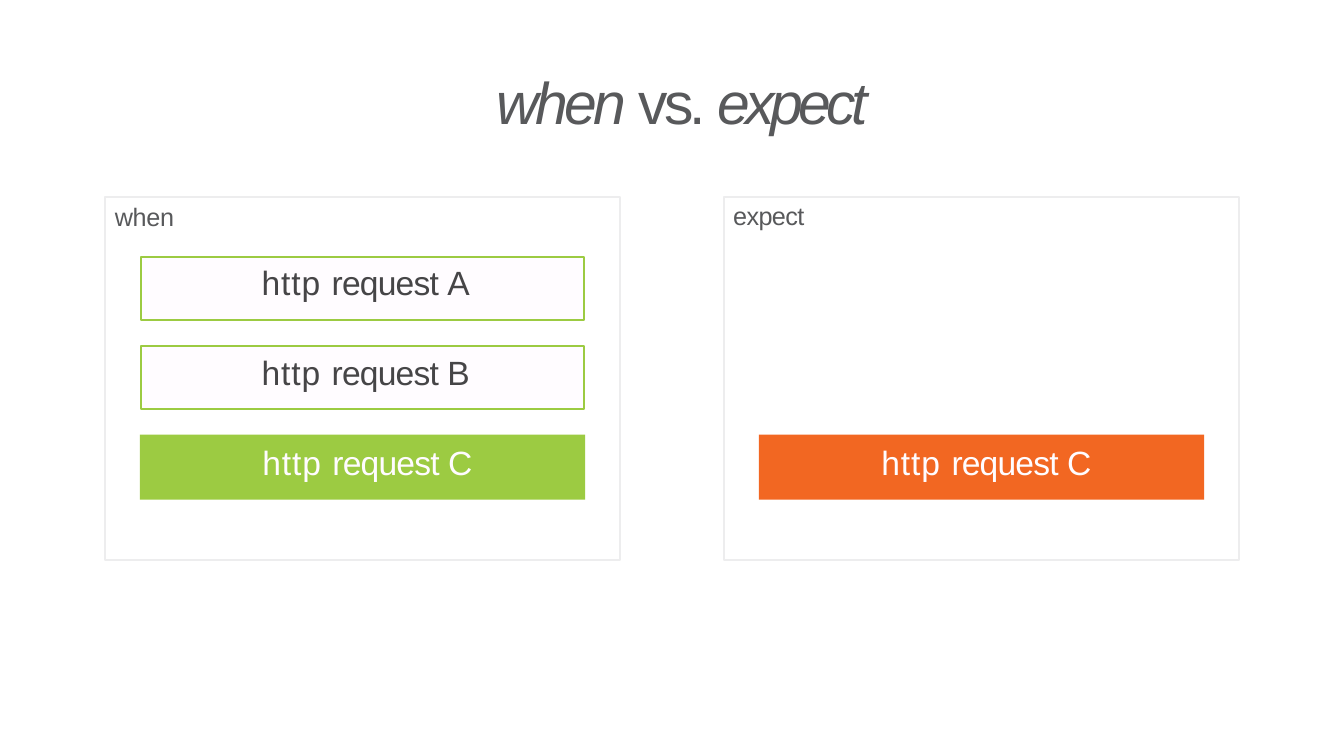
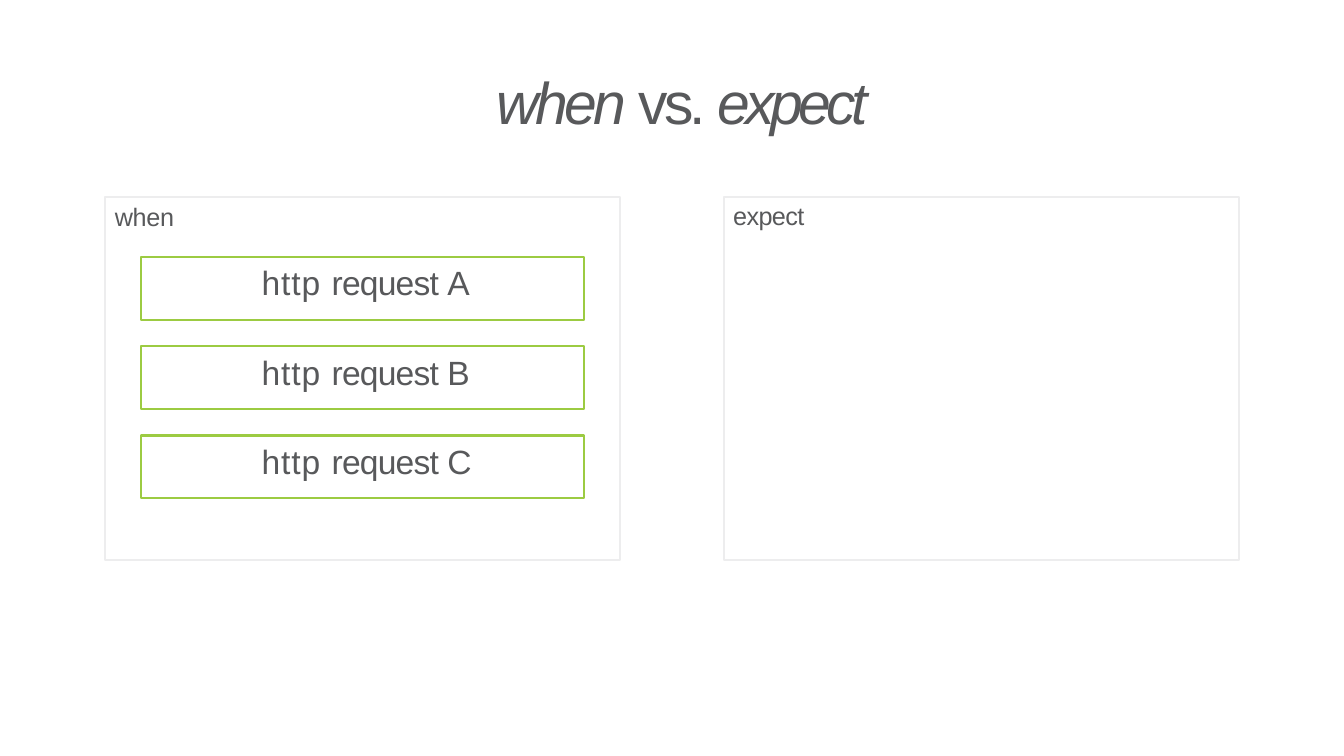
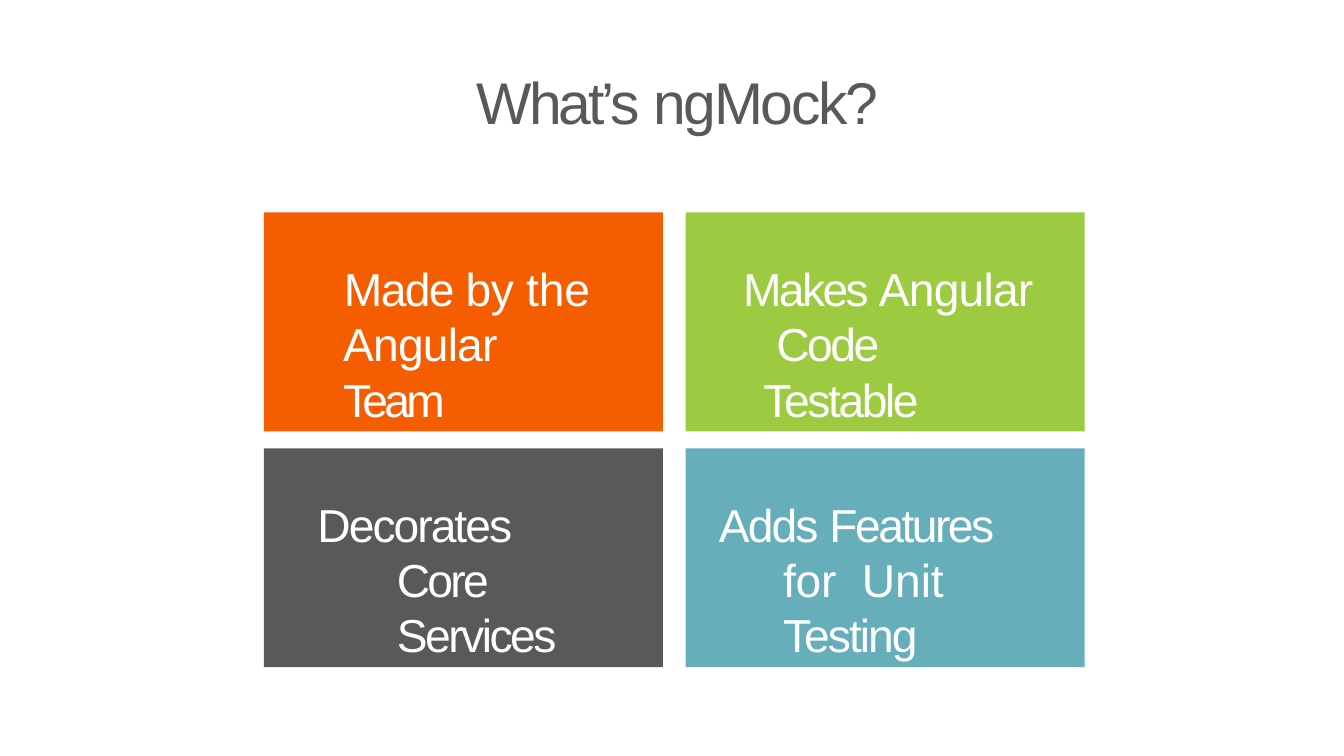
from pptx import Presentation
from pptx.dml.color import RGBColor as Rgb
from pptx.enum.shapes import MSO_SHAPE as Form
from pptx.enum.text import MSO_ANCHOR as Anchor, PP_ALIGN as Align
from pptx.util import Inches, Pt

WIDE, HIGH = Inches(17.78), Inches(10)
PAGE = (0, 0, WIDE, HIGH)
HUE = {"text": "58595B", "dark": "464547", "pale": "FFFCFF", "white": "FFFFFF",
       "edge": "EDEDEE", "green": "9CCB42", "red": "F26722",
       "orange": "F45D00", "teal": "66AEBA"}
TITLE = (12.77, 8.7, 74.47, 9.5)
LEFT = (7.82, 26, 38.3, 48.1)
RIGHT = (53.88, 26, 38.3, 48.1)
CARDS = (19.63, 28.1, 61.08, 60.2)
TAIL = {"A": -1.8, "B": -4, "C": -4.5}
VERSUS = [("when ", -3.5, True), ("vs. ", -4, False), ("expect", -4.5, True)]


def part(box, share):
    """Return the box that takes the given percentages of a parent box."""
    x, y, w, h = box
    a, b, c, d = share
    return (x + int(w * a / 100), y + int(h * b / 100),
            int(w * c / 100), int(h * d / 100))


def write(shape, runs, size, hue, left=0, top=0, first=0, right=0):
    """Write spaced runs as one indented paragraph."""
    frame = shape.text_frame
    form = {"word_wrap": True, "vertical_anchor": Anchor.TOP, "margin_left": 0,
            "margin_right": 0, "margin_bottom": 0, "margin_top": Inches(top)}
    for name, value in form.items():
        setattr(frame, name, value)
    para = frame.paragraphs[0]
    para.alignment = Align.LEFT
    gaps = {"marL": left, "marR": right, "indent": first}
    for name, value in gaps.items():
        para._p.get_or_add_pPr().set(name, str(Inches(value)))
    for words, space, *slant in runs:
        run = para.add_run()
        run.text = words
        style = {"name": "Arial", "size": Pt(size), "italic": any(slant)}
        for name, value in style.items():
            setattr(run.font, name, value)
        run.font.color.rgb = Rgb.from_string(HUE[hue])
        run._r.get_or_add_rPr().set("spc", str(round(space * 100)))


def block(slide, box, fill=None, edge=None):
    """Add a rectangle with an optional fill and outline."""
    shape = slide.shapes.add_shape(Form.RECTANGLE, *box)
    shape.shadow.inherit = False
    for paint, hue in ((shape.fill, fill), (shape.line.fill, edge)):
        if hue:
            paint.solid()
            paint.fore_color.rgb = Rgb.from_string(HUE[hue])
        else:
            paint.background()
    if edge:
        shape.line.width = Pt(2)
    return shape


def title(slide, runs, left):
    """Add the slide title."""
    write(slide.shapes.add_textbox(*part(PAGE, TITLE)), runs, 56, "text", left)


def ask(slide, panel, row, name, hue, fill=None, edge=None):
    """Add a request bar in the given row of a panel."""
    y = 16.63 + 24.53 * row
    share = (6.9, y, 86.1, 17.26) if edge else (6.75, y - 0.2, 86.5, 17.88)
    left, top = (1.6, 0.07) if edge else (1.62, 0.1)
    bar = block(slide, part(panel, share), fill, edge)
    runs = [("http ", 0.9), ("request ", -0.8), (name, TAIL[name])]
    write(bar, runs, 32, hue, left, top)


def versus(deck, bars):
    """Build a slide that compares the two panels."""
    slide = deck.slides.add_slide(deck.slide_layouts[6])
    one, two = part(PAGE, LEFT), part(PAGE, RIGHT)
    block(slide, one, edge="edge")
    title(slide, VERSUS, 4.3)
    for side, *rest in bars:
        ask(slide, two if side else one, *rest)
    label = slide.shapes.add_textbox(*part(one, (1.76, 1.25, 11.9, 8.73)))
    write(label, [("when", -0.3)], 24, "text", 0.01)
    write(block(slide, two, edge="edge"), [("expect", -0.6)], 24, "text",
          0.12, 0.05)


def cards(deck, items):
    """Build a slide with a two by two grid of cards."""
    slide = deck.slides.add_slide(deck.slide_layouts[6])
    title(slide, [("What’s ", -3), ("ngMock?", -2.1)], 4.04)
    for spot, (fill, left, first, right, runs) in enumerate(items):
        row, col = divmod(spot, 2)
        share = (51.38 * col, 51.83 * row, 48.62, 48.1)
        card = block(slide, part(part(PAGE, CARDS), share), fill)
        write(card, runs, 44, "white", left, 0.63, first, right)


def main():
    """Build and save the deck."""
    deck = Presentation()
    deck.slide_width, deck.slide_height = WIDE, HIGH
    versus(deck, [(0, 0, "A", "dark", "pale", "green"),
                  (0, 1, "B", "dark", "pale", "green"),
                  (0, 2, "C", "pale", "green"),
                  (1, 2, "C", "pale", "red")])
    versus(deck, [(0, row, name, "text", None, "green")
                  for row, name in enumerate("ABC")])
    cards(deck, [
        ("orange", 1.05, 0.01, 0.78,
         [("Made ", -1.6), ("by ", -0.6), ("the  ", -0.1),
          ("Angular ", -0.8), ("Team", -3.6)]),
        ("green", 1.03, -0.27, 0.64,
         [("Makes ", -2.5), ("Angular  ", -0.8), ("Code ", -2.4),
          ("Testable", -2.3)]),
        ("text", 1.76, -1.05, 1,
         [("Decorates ", -1.9), ("Core  ", -2.6), ("Services", -2.4)]),
        ("teal", 1.29, -0.85, 0.8,
         [("Adds ", -1.8), ("Features ", -2.4), ("for  ", -0.2),
          ("Unit ", -0.1), ("Testing", -1.9)])])
    deck.save("out.pptx")


if __name__ == "__main__":
    main()
